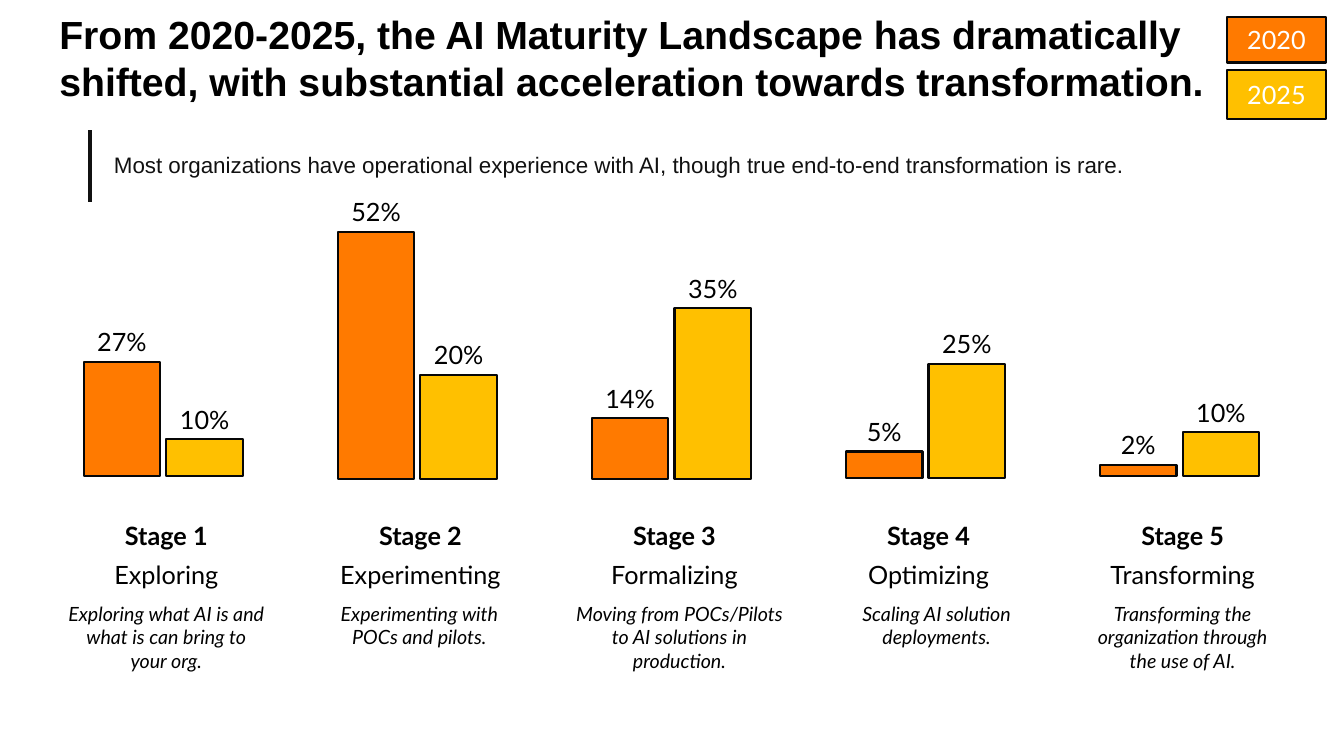
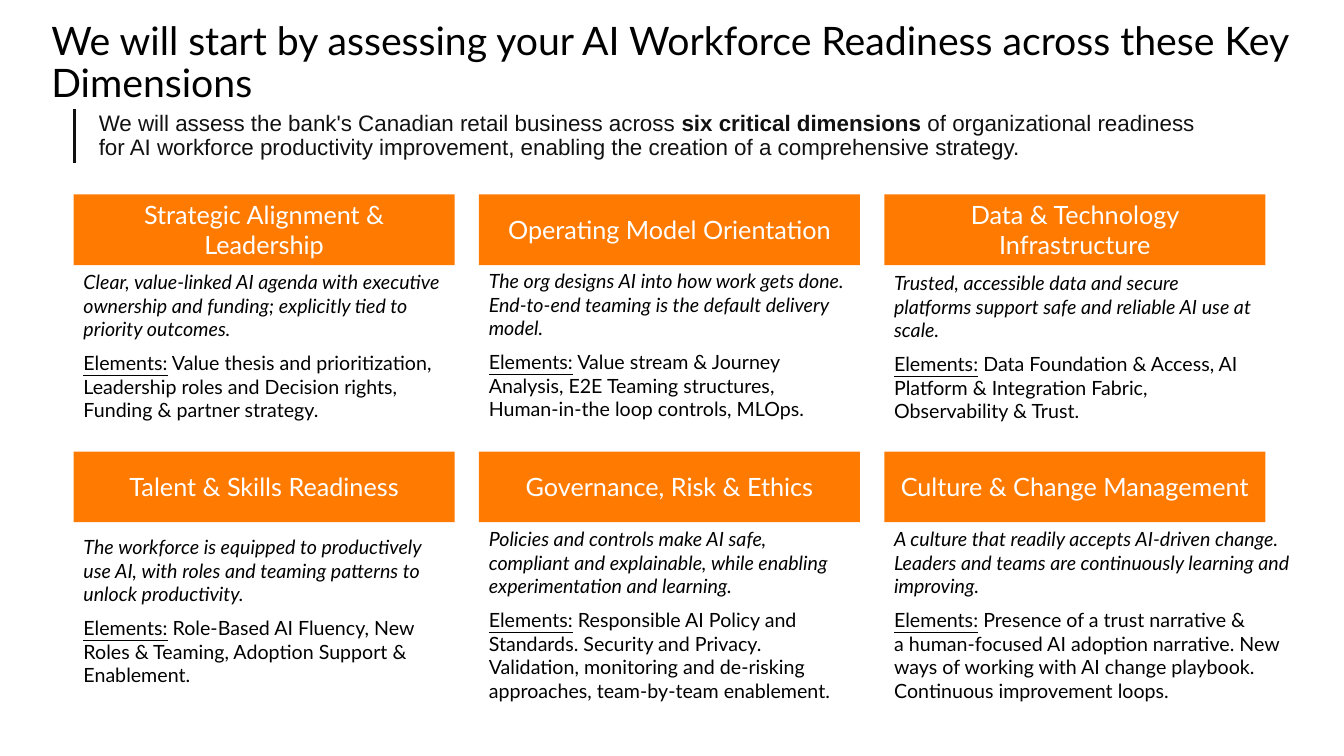
from lxml.etree import SubElement
from pptx import Presentation
from pptx.dml.color import RGBColor
from pptx.enum.shapes import MSO_SHAPE as Shape
from pptx.enum.text import MSO_ANCHOR as Anchor, MSO_AUTO_SIZE as AutoSize, PP_ALIGN as Align
from pptx.oxml.ns import qn
from pptx.util import Inches, Pt

COLORS = {"orange": "FF7A00", "gold": "FFC000", "outline": "070707",
          "text": "000000", "note": "111111", "white": "FFFFFF"}
NO_GRID_STYLE = "{2D5ABB26-0587-4C30-8999-92F81FD0307C}"


def write(para, runs, size, color="text", font="Lato", align=Align.LEFT):
    """Add (text, marks) runs; marks may hold b, i and u."""
    para.alignment = align
    for text, marks in runs:
        span = para.add_run()
        span.text = text
        span.font.name, span.font.size = font, Pt(size)
        span.font.color.rgb = RGBColor.from_string(COLORS[color])
        span.font.bold = "b" in marks
        span.font.italic = "i" in marks
        span.font.underline = "u" in marks


def add_box(page, at, fill=None, outlined=False):
    """Add a text box, or a rectangle when a fill is given."""
    place = [Inches(value) for value in at]
    if fill is None:
        box = page.shapes.add_textbox(*place)
        box.text_frame.auto_size = AutoSize.SHAPE_TO_FIT_TEXT
    else:
        box = page.shapes.add_shape(Shape.RECTANGLE, *place)
        box.shadow.inherit = False
        box.fill.solid()
        box.fill.fore_color.rgb = RGBColor.from_string(COLORS[fill])
        box.line.fill.background()
        box.text_frame.vertical_anchor = Anchor.MIDDLE
        if outlined:
            box.line.color.rgb = RGBColor.from_string(COLORS["outline"])
            box.line.width = Pt(1.5)
    box.text_frame.word_wrap = True
    return box


deck = Presentation()
deck.slide_width, deck.slide_height = Inches(13.33), Inches(7.5)
blank = deck.slide_layouts[6]
landscape = deck.slides.add_slide(blank)
readiness = deck.slides.add_slide(blank)

# Landscape: title and legend
title = add_box(landscape, (0.49, 0.05, 11.68, 1.04))
write(title.text_frame.paragraphs[0],
      [("From 2020-2025, the AI Maturity Landscape has dramatically shifted, "
        "with substantial acceleration towards transformation.", "b")], 28, font="Arial")
for year, color, top, height in (("2020", "orange", 0.17, 0.45), ("2025", "gold", 0.69, 0.49)):
    key = add_box(landscape, (12.17, top, 0.98, height), color, outlined=True)
    write(key.text_frame.paragraphs[0], [(year, "")], 18, "white", align=Align.CENTER)

# Landscape: stages as name, baseline, (value, bar height) for each year,
# description with its left and width
stages = [
    ("Exploring", 4.72, [("27%", 1.13), ("10%", 0.36)],
     "Exploring what AI is and what is can bring to your org.", 0.56, 2.18),
    ("Experimenting", 4.75, [("52%", 2.45), ("20%", 1.03)],
     "Experimenting with POCs and pilots.", 3.07, 2.18),
    ("Formalizing", 4.75, [("14%", 0.6), ("35%", 1.69)],
     "Moving from POCs/Pilots to AI solutions in production.", 5.57, 2.34),
    ("Optimizing", 4.74, [("5%", 0.26), ("25%", 1.13)],
     "Scaling AI solution deployments.", 8.2, 2.18),
    ("Transforming", 4.72, [("2%", 0.11), ("10%", 0.43)],
     "Transforming the organization through the use of AI.", 10.64, 2.18),
]
for index, (name, baseline, bars, description, left, width) in enumerate(stages):
    center = 1.65 + 2.52 * index
    for (value, height), color, offset in zip(bars, ("orange", "gold"), (-0.82, 0)):
        bar_left, bar_top = center + offset, baseline - height
        add_box(landscape, (bar_left, bar_top, 0.76, height), color, outlined=True)
        label = add_box(landscape, (bar_left, bar_top - 0.4, 0.76, 0.4))
        write(label.text_frame.paragraphs[0], [(value, "")], 18, align=Align.CENTER)
    for text, marks, size, at in (
            (f"Stage {index + 1}", "b", 18, (center - 0.83, 5.11, 1.66, 0.4)),
            (name, "", 18, (center - 1.13, 5.5, 2.26, 0.4)),
            (description, "i", 14, (left, 5.92, width, 0.81))):
        caption = add_box(landscape, at)
        write(caption.text_frame.paragraphs[0], [(text, marks)], size, align=Align.CENTER)

# Readiness: title
title = add_box(readiness, (0.51, 0.21, 12.53, 0.85))
frame = title.text_frame
frame.margin_left = frame.margin_right = frame.margin_top = frame.margin_bottom = 0
frame.paragraphs[0].line_spacing = 0.9
write(frame.paragraphs[0],
      [("We will start by assessing your AI Workforce Readiness across these Key Dimensions", "")], 28)

# Readiness: dimensions as heading, body top, body width, summary, element lines
dimensions = [
    ("Strategic Alignment & Leadership", 2.63, 3.77,
     "Clear, value-linked AI agenda with executive ownership and funding; "
     "explicitly tied to priority outcomes.",
     ["Value thesis and prioritization, Leadership roles and Decision rights, "
      "Funding & partner strategy."]),
    ("Operating Model Orientation", 2.62, 3.77,
     "The org designs AI into how work gets done. End-to-end teaming is the "
     "default delivery model.",
     ["Value stream & Journey Analysis, E2E Teaming structures, "
      "Human-in-the loop controls, MLOps."]),
    ("Data & Technology Infrastructure", 2.64, 3.77,
     "Trusted, accessible data and secure platforms support safe and reliable AI use at scale.",
     ["Data Foundation & Access, AI Platform & Integration Fabric, Observability & Trust."]),
    ("Talent & Skills Readiness", 5.26, 3.77,
     "The workforce is equipped to productively use AI, with roles and teaming "
     "patterns to unlock productivity.",
     ["Role-Based AI Fluency, New Roles & Teaming, Adoption Support & Enablement."]),
    ("Governance, Risk & Ethics", 5.18, 3.77,
     "Policies and controls make AI safe, compliant and explainable, while "
     "enabling experimentation and learning.",
     ["Responsible AI Policy and Standards. Security and Privacy. Validation, "
      "monitoring and de-risking approaches, team-by-team enablement."]),
    ("Culture & Change Management", 5.18, 4.13,
     "A culture that readily accepts AI-driven change. Leaders and teams are "
     "continuously learning and improving.",
     ["Presence of a trust narrative &",
      "a human-focused AI adoption narrative. New ways of working with AI change "
      "playbook. Continuous improvement loops."]),
]
for index, (heading, body_top, width, summary, elements) in enumerate(dimensions):
    row, column = divmod(index, 3)
    left = 0.73 + 4.02 * column
    header = add_box(readiness, (left, 1.93 + 2.55 * row, 3.78, 0.7), "orange")
    write(header.text_frame.paragraphs[0], [(heading, "")], 18, "white", align=Align.CENTER)
    frame = add_box(readiness, (left, body_top, width, 1.62)).text_frame
    write(frame.paragraphs[0], [(summary, "i")], 14)
    para = frame.add_paragraph()
    para.space_before = Pt(7.5)
    write(para, [("Elements:", "u"), (" " + elements[0], "")], 14)
    for line in elements[1:]:
        write(frame.add_paragraph(), [(line, "")], 14)

# Both pages: one-cell table with a bar on its left edge
notes = [
    (landscape, 0.89, 1.29, 0.71,
     [("Most organizations have operational experience with AI, though true "
       "end-to-end transformation is rare.", "")]),
    (readiness, 0.74, 1.08, 0.53,
     [("We will assess the bank's Canadian retail business across ", ""),
      ("six critical dimensions ", "b"),
      ("of organizational readiness for AI workforce productivity improvement, "
       "enabling the creation of a comprehensive strategy.", "")]),
]
for page, left, top, height, runs in notes:
    table = page.shapes.add_table(
        1, 1, Inches(left), Inches(top), Inches(11.48), Inches(height)).table
    table.first_row = table.horz_banding = False
    table._tbl.tblPr.find(qn("a:tableStyleId")).text = NO_GRID_STYLE
    cell = table.cell(0, 0)
    cell.margin_left, cell.margin_right = Inches(0.24), Inches(0.1)
    cell.margin_top = cell.margin_bottom = 0
    cell.vertical_anchor = Anchor.MIDDLE
    cell.fill.background()
    properties = cell._tc.get_or_add_tcPr()
    edge = SubElement(properties, qn("a:lnL"), w=str(Pt(3)))
    SubElement(SubElement(edge, qn("a:solidFill")), qn("a:srgbClr"), val=COLORS["note"])
    properties.insert(0, edge)
    write(cell.text_frame.paragraphs[0], runs, 16, "note", "Arial")

deck.save("out.pptx")
